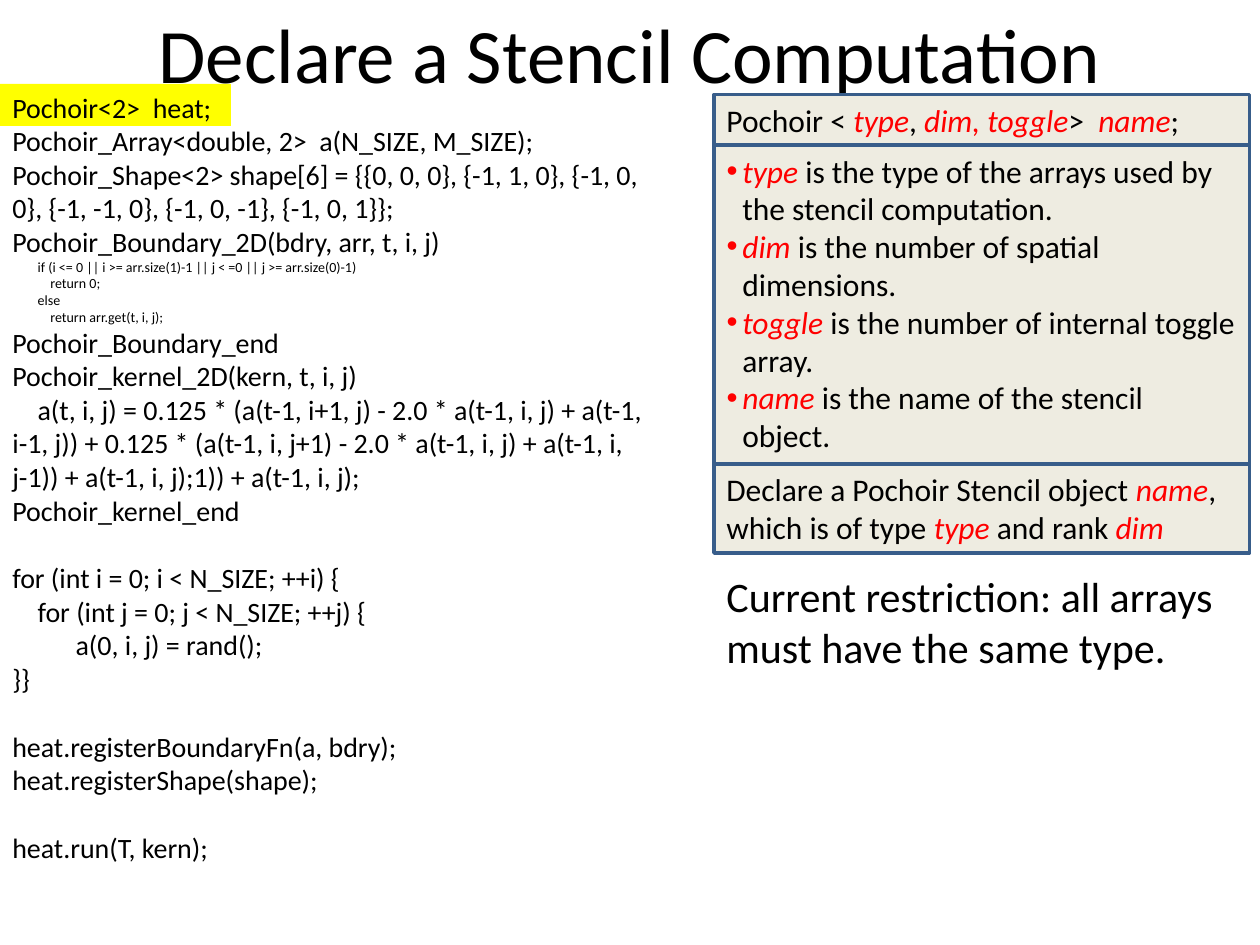
from dataclasses import dataclass

import pptx
import pptx.dml.color
import pptx.enum.shapes
import pptx.enum.text
import pptx.util
from lxml import etree

Pt = pptx.util.Pt
FONT = "Calibri"
BLACK, RED, YELLOW = "000000", "FF0000", "FFFF00"
PANEL_FILL, PANEL_LINE = "EEECE1", "385D8A"
SPACE_WIDTH = 0.226  # width of a Calibri space, in ems
CODE_SIZE, SMALL_SIZE, PANEL_SIZE = 16, 8, 18
CODE_LINE = 19.53
PANEL_LEFT, PANEL_WIDTH = 408, 306


@dataclass
class Area:
    left: float
    top: float
    width: float
    height: float


@dataclass
class Span:
    text: str
    term: bool = False


@dataclass
class CodeLine:
    text: str
    indent: int = 0
    size: int = CODE_SIZE
    gap: bool = False


CODE = [
    CodeLine("Pochoir<2>  heat;"),
    CodeLine("Pochoir_Array<double, 2>  a(N_SIZE, M_SIZE);"),
    CodeLine("Pochoir_Shape<2> shape[6] = {{0, 0, 0}, {-1, 1, 0}, {-1, 0, 0}, "
             "{-1, -1, 0}, {-1, 0, -1}, {-1, 0, 1}};"),
    CodeLine("Pochoir_Boundary_2D(bdry, arr, t, i, j)"),
    CodeLine("if (i <= 0 || i >= arr.size(1)-1 || j < =0 || j >= arr.size(0)-1)",
             8, SMALL_SIZE),
    CodeLine("return 0;", 12, SMALL_SIZE),
    CodeLine("else", 8, SMALL_SIZE),
    CodeLine("return arr.get(t, i, j);", 12, SMALL_SIZE),
    CodeLine("Pochoir_Boundary_end"),
    CodeLine("Pochoir_kernel_2D(kern, t, i, j)"),
    CodeLine("a(t, i, j) = 0.125 * (a(t-1, i+1, j) - 2.0 * a(t-1, i, j) + "
             "a(t-1, i-1, j)) + 0.125 * (a(t-1, i, j+1) - 2.0 * a(t-1, i, j) + "
             "a(t-1, i, j-1)) + a(t-1, i, j);1)) + a(t-1, i, j);", 4),
    CodeLine("Pochoir_kernel_end"),
    CodeLine("for (int i = 0; i < N_SIZE; ++i) {", gap=True),
    CodeLine("for (int j = 0; j < N_SIZE; ++j) {", 4),
    CodeLine("a(0, i, j) = rand();", 10),
    CodeLine("}}"),
    CodeLine("heat.registerBoundaryFn(a, bdry);", gap=True),
    CodeLine("heat.registerShape(shape);"),
    CodeLine("heat.run(T, kern);", gap=True),
]

SYNTAX = [Span("Pochoir < "), Span("type", True), Span(", "), Span("dim, toggle", True),
          Span(">  "), Span("name", True), Span(";")]
PARAMETERS = [
    [Span("type ", True), Span("is the type of the arrays used by the stencil computation.")],
    [Span("dim", True), Span(" is the number of spatial dimensions.")],
    [Span("toggle", True), Span(" is the number of internal toggle array.")],
    [Span("name ", True), Span("is the name of the stencil object.")],
]
MEANING = [Span("Declare a Pochoir Stencil object "), Span("name", True),
           Span(", which is of type "), Span("type ", True), Span("and rank "),
           Span("dim", True)]
RESTRICTION = [Span("Current restriction: all arrays must have the same type.")]


def color(value: str) -> pptx.dml.color.RGBColor:
    return pptx.dml.color.RGBColor.from_string(value)


def place(shape, area: Area) -> None:
    shape.left, shape.top = Pt(area.left), Pt(area.top)
    shape.width, shape.height = Pt(area.width), Pt(area.height)


def prepare_frame(shape, anchor=pptx.enum.text.MSO_ANCHOR.TOP):
    """Make the text frame wrap at a fixed size and return it."""
    frame = shape.text_frame
    frame.word_wrap = True
    frame.auto_size = pptx.enum.text.MSO_AUTO_SIZE.NONE
    frame.vertical_anchor = anchor
    return frame


def next_para(frame, index: int):
    para = frame.paragraphs[0] if index == 0 else frame.add_paragraph()
    para.space_before = Pt(0)
    return para


def add_spans(para, spans: list[Span], size: float) -> None:
    for span in spans:
        run = para.add_run()
        run.text = span.text
        run.font.name, run.font.size = FONT, Pt(size)
        run.font.italic = span.term
        run.font.color.rgb = color(RED if span.term else BLACK)


def set_indent(para, margin: float, first: float) -> None:
    properties = para._p.get_or_add_pPr()
    properties.set("marL", str(Pt(margin)))
    properties.set("indent", str(Pt(first)))


def set_bullet(para) -> None:
    properties = para._p.get_or_add_pPr()
    namespace = properties.nsmap["a"]
    etree.SubElement(properties, f"{{{namespace}}}buFont", typeface="Arial")
    etree.SubElement(properties, f"{{{namespace}}}buChar", char="•")


def style_panel(shape) -> None:
    shape.fill.solid()
    shape.fill.fore_color.rgb = color(PANEL_FILL)
    shape.line.color.rgb = color(PANEL_LINE)
    shape.line.width = Pt(2)


def add_rectangle(page, area: Area):
    box = page.shapes.add_shape(pptx.enum.shapes.MSO_SHAPE.RECTANGLE, 0, 0, 0, 0)
    place(box, area)
    box.shadow.inherit = False
    return box


def add_text_box(page, area: Area):
    box = page.shapes.add_textbox(0, 0, 0, 0)
    place(box, area)
    return box


def write_line(box, spans: list[Span], size: float) -> None:
    para = next_para(prepare_frame(box), 0)
    para.alignment = pptx.enum.text.PP_ALIGN.LEFT
    add_spans(para, spans, size)


def add_panel(page, area: Area, spans: list[Span]) -> None:
    panel = add_rectangle(page, area)
    style_panel(panel)
    write_line(panel, spans, PANEL_SIZE)


def add_code(page, area: Area) -> None:
    frame = prepare_frame(add_text_box(page, area))
    for index, line in enumerate(CODE):
        para = next_para(frame, index)
        set_indent(para, 0, line.indent * line.size * SPACE_WIDTH)
        if line.gap:
            para.space_before = Pt(CODE_LINE)
        add_spans(para, [Span(line.text)], line.size)


def fill_parameters(body, area: Area) -> None:
    place(body, area)
    style_panel(body)
    frame = prepare_frame(body)
    for index, spans in enumerate(PARAMETERS):
        para = next_para(frame, index)
        set_indent(para, 9, -9)
        set_bullet(para)
        add_spans(para, spans, PANEL_SIZE)


def main() -> None:
    deck = pptx.Presentation()
    deck.slide_width, deck.slide_height = Pt(720), Pt(540)
    page = deck.slides.add_slide(deck.slide_layouts[1])
    title, body = page.shapes.title, page.placeholders[1]

    place(title, Area(36, 0, 648, 60))
    heading = prepare_frame(title, pptx.enum.text.MSO_ANCHOR.MIDDLE).paragraphs[0]
    heading.alignment = pptx.enum.text.PP_ALIGN.CENTER
    add_spans(heading, [Span("Declare a Stencil Computation")], 44)

    highlight = add_rectangle(page, Area(0, 48, 132, 24))
    highlight.fill.solid()
    highlight.fill.fore_color.rgb = color(YELLOW)
    highlight.line.fill.background()
    add_code(page, Area(0, 48, 390, 453))

    add_panel(page, Area(PANEL_LEFT, 54, PANEL_WIDTH, 29), SYNTAX)
    fill_parameters(body, Area(PANEL_LEFT, 83, PANEL_WIDTH, 182))
    add_panel(page, Area(PANEL_LEFT, 265, PANEL_WIDTH, 51), MEANING)
    restriction = add_text_box(page, Area(PANEL_LEFT, 322.6, PANEL_WIDTH, 65.5))
    write_line(restriction, RESTRICTION, 24)
    deck.save("out.pptx")


if __name__ == "__main__":
    main()
